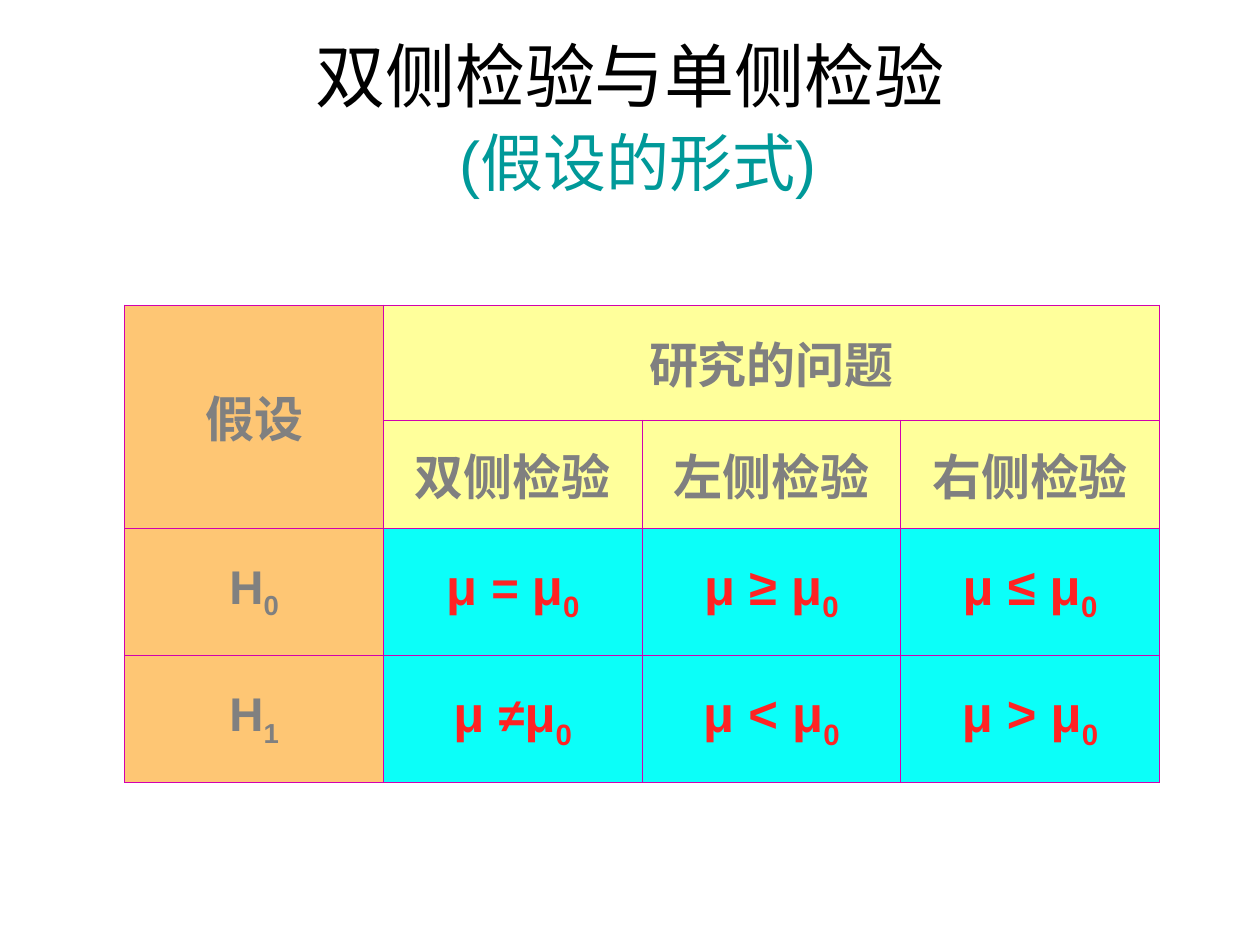
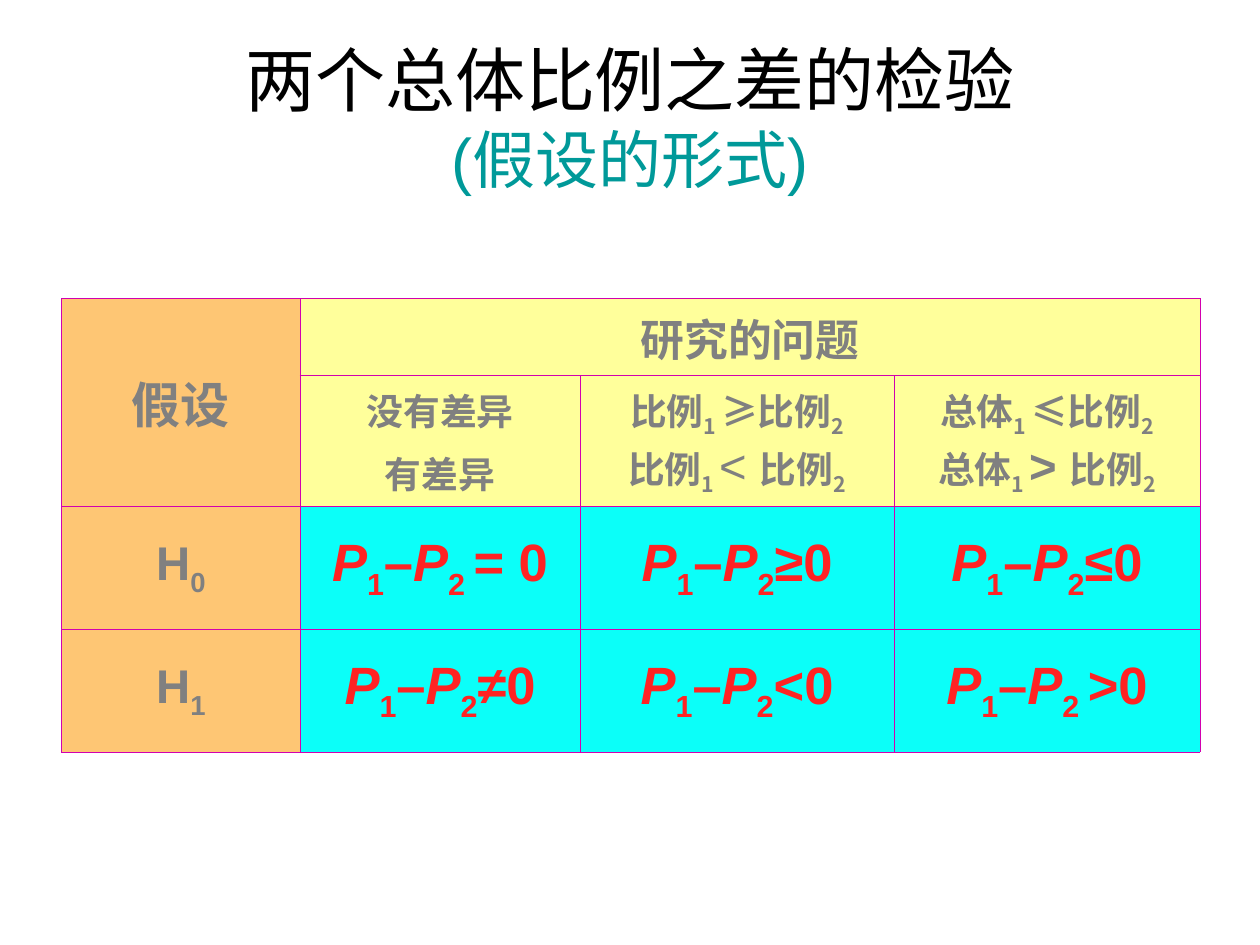
from lxml import etree
from pptx import Presentation
from pptx import util as u
from pptx.dml import color
from pptx.enum import text
from pptx.oxml import ns

COLORS = {"title": "000000", "subtitle": "009999", "label": "808080", "formula": "FF2323",
          "border": "D200AF", "side": "FEC674", "header": "FFFF9B", "body": "0BFFF9"}
LATIN, CJK = "Arial", "Noto Sans CJK SC"
MARKS = {"_": {"sub": True}, "/": {"italic": True}, "~": {"size": 27, "font": LATIN},
         "'": {"size": 27, "font": LATIN, "bold": False}}


class Deck:
    """Holds the shared style and the current slide; lengths are on a 100 by 75 grid."""

    def __init__(self):
        self.prs = Presentation()
        self.prs.slide_width, self.prs.slide_height = u.Inches(10), u.Inches(7.5)
        self.unit = self.prs.slide_width / 100
        self.slide = None

    def grid(self, *lengths):
        return [round(length * self.unit) for length in lengths]

    def new_slide(self):
        self.slide = self.prs.slides.add_slide(self.prs.slide_layouts[6])

    def run(self, paragraph, words, size, ink, font=LATIN, bold=True, italic=False, sub=False):
        run = paragraph.add_run()
        run.text = words
        run.font.size, run.font.bold, run.font.italic = u.Pt(size), bold, italic
        run.font.color.rgb = color.RGBColor.from_string(COLORS[ink])
        run.font.name = font
        props = run._r.get_or_add_rPr()
        etree.SubElement(props, ns.qn("a:ea")).set("typeface", CJK)
        if sub:
            props.set("baseline", "-25000")

    def title(self, heading, subheading, lead=""):
        frame = self.slide.shapes.add_textbox(*self.grid(5, 3, 90, 12.5)).text_frame
        frame.word_wrap = True
        frame.vertical_anchor = text.MSO_ANCHOR.MIDDLE
        line = frame.paragraphs[0]
        line.alignment = text.PP_ALIGN.CENTER
        self.run(line, heading, 40, "title", bold=False)
        line.add_line_break()
        if lead:
            self.run(line, lead, 40, "title", bold=False)
        self.run(line, subheading, 36, "subtitle", bold=False)

    def border(self, cell):
        props = cell._tc.get_or_add_tcPr()
        for side in ("lnL", "lnR", "lnT", "lnB"):
            line = etree.SubElement(props, ns.qn(f"a:{side}"), w=str(u.Pt(0.45)))
            fill = etree.SubElement(line, ns.qn("a:solidFill"))
            etree.SubElement(fill, ns.qn("a:srgbClr"), val=COLORS["border"])

    def cell(self, cell, fill, lines, gap, style):
        self.border(cell)
        cell.fill.solid()
        cell.fill.fore_color.rgb = color.RGBColor.from_string(COLORS[fill])
        cell.vertical_anchor = text.MSO_ANCHOR.MIDDLE
        for number, line in enumerate(lines):
            frame = cell.text_frame
            paragraph = frame.add_paragraph() if number else frame.paragraphs[0]
            paragraph.alignment = text.PP_ALIGN.CENTER
            if number and gap:
                paragraph.space_before = u.Pt(gap)
            for part in filter(None, line.split("|")):
                mark = MARKS.get(part[0], {})
                self.run(paragraph, part[1:] if mark else part, **{**style, **mark})

    def hypotheses(self, left, top, widths, heights, topic_size, case_size, formula_size,
                   cases, formulas):
        box = self.grid(left, top, sum(widths), sum(heights))
        table = self.slide.shapes.add_table(len(heights), len(widths), *box).table
        table.first_row = table.horz_banding = False
        for column, width in zip(table.columns, self.grid(*widths)):
            column.width = width
        for row, height in zip(table.rows, self.grid(*heights)):
            row.height = height
        table.cell(0, 0).merge(table.cell(1, 0))
        table.cell(0, 1).merge(table.cell(0, 3))

        content = [["假设", "研究的问题", "", ""], ["", *cases],
                   ["H|_0", *formulas[0]], ["H|_1", *formulas[1]]]
        header_sizes = (topic_size, case_size)
        for r, row in enumerate(content):
            for c, entry in enumerate(row):
                if c == 0:
                    fill, style = "side", {"size": 28 if r < 2 else 27, "ink": "label"}
                elif r < 2:
                    fill, style = "header", {"size": header_sizes[r], "ink": "label", "font": CJK}
                else:
                    fill, style = "body", {"size": formula_size, "ink": "formula"}
                lines = entry.split("\n") if entry else []
                self.cell(table.cell(r, c), fill, lines, 5.2 if c == 1 else 0, style)


def difference(relation, space=""):
    return f"/P|_1|–|/P|_2{space}|{relation}"


def main():
    deck = Deck()
    subheading = "(假设的形式)"

    deck.new_slide()
    deck.title("双侧检验与单侧检验", subheading, lead=" ")
    deck.hypotheses(
        9.9, 24.2, [20.53] * 4, [9.15, 8.55, 10.1, 10.1], 28, 28, 29,
        [f"{side}侧检验" for side in "双左右"],
        [["μ |~= |μ|_0", "μ ≥ μ|_0", "μ ≤ μ|_0"],
         ["μ |~≠|μ|_0", "μ < μ|_0", "μ > μ|_0"]])

    deck.new_slide()
    deck.title("两个总体比例之差的检验", subheading)
    deck.hypotheses(
        4.9, 23.7, [18.9, 22.25, 24.9, 24.3], [6.1, 10.4, 9.75, 9.75], 25, 21, 30,
        ["没有差异\n有差异",
         "比例|_1 |≥比例|_2\n比例|_1 |'< |比例|_2",
         "总体|_1 |≤比例|_2\n总体|_1 |~> |比例|_2"],
        [[difference("= 0", " "), difference("≥0"), difference("≤0")],
         [difference("≠0"), difference("<0"), difference(">0", " ")]])

    deck.prs.save("out.pptx")


if __name__ == "__main__":
    main()
